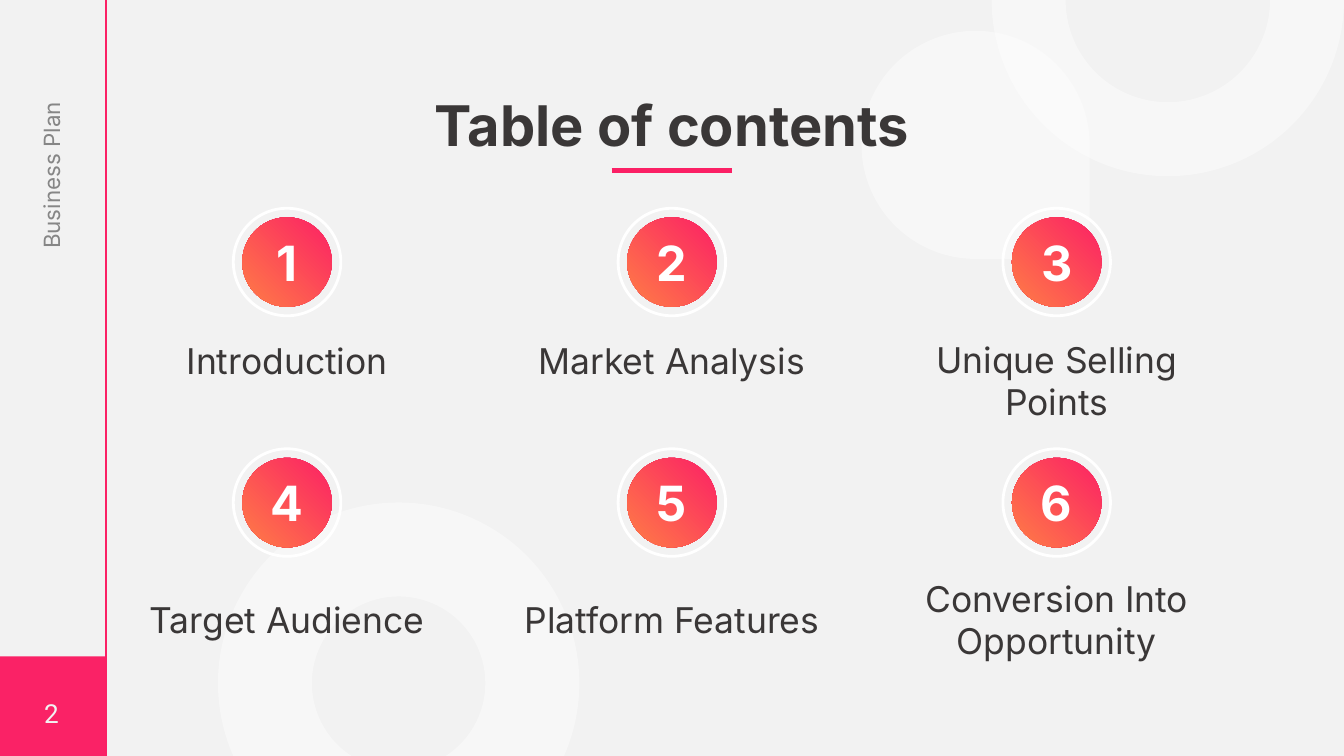
from dataclasses import dataclass

from lxml.etree import SubElement
from pptx import Presentation
from pptx.dml.color import RGBColor
from pptx.enum.shapes import MSO_CONNECTOR as Connector, MSO_SHAPE as Shape
from pptx.enum.text import MSO_ANCHOR as Anchor, PP_ALIGN as Align
from pptx.oxml.ns import qn
from pptx.util import Pt


@dataclass(frozen=True)
class Theme:
    paper: str = "F2F2F2"
    ink: str = "3A3737"
    muted: str = "868686"
    white: str = "FFFFFF"
    pink: str = "FB2065"
    page_pink: str = "FA2266"
    orange: str = "FF7D46"
    veil_opacity: int = 44
    font: str = "Inter"
    page_font: str = "Roboto"
    title_size: int = 30
    number_size: int = 26
    topic_size: int = 19
    page_size: int = 14
    side_size: int = 12


THEME = Theme()
WIDTH, HEIGHT = 720, 405
SIDEBAR_WIDTH = 56.7
TOPICS = [
    ["Introduction", "Market Analysis", "Unique Selling Points"],
    ["Target Audience", "Platform Features", "Conversion Into Opportunity"],
]


def rgb(value):
    return RGBColor.from_string(value)


def points(*lengths):
    return [Pt(length) for length in lengths]


def write(frame, text, *, size, color=THEME.ink, font=THEME.font, bold=False,
          align=Align.CENTER, anchor=Anchor.MIDDLE, insets=(7.2, 7.2, 7.2, 7.2),
          space_after=0):
    """Fill a text frame with one formatted paragraph."""
    frame.word_wrap = True
    frame.vertical_anchor = anchor
    (frame.margin_left, frame.margin_top,
     frame.margin_right, frame.margin_bottom) = points(*insets)
    paragraph = frame.paragraphs[0]
    paragraph.alignment = align
    paragraph.space_after = Pt(space_after)
    run = paragraph.add_run()
    run.text = text
    run.font.name = font
    run.font.size = Pt(size)
    run.font.bold = bold
    run.font.color.rgb = rgb(color)


def add_text(slide, box, text, **style):
    textbox = slide.shapes.add_textbox(*points(*box))
    write(textbox.text_frame, text, **style)
    return textbox


def add_rule(slide, start, end, width):
    rule = slide.shapes.add_connector(Connector.STRAIGHT, *points(*start, *end))
    rule.line.color.rgb = rgb(THEME.pink)
    rule.line.width = Pt(width)
    SubElement(rule._element.spPr, qn("a:effectLst"))


def add_veil(slide, kind, left, top, size, rotation=0):
    """Add a translucent white backdrop shape."""
    shape = slide.shapes.add_shape(kind, *points(left, top, size, size))
    shape.rotation = rotation
    shape.shadow.inherit = False
    shape.line.fill.background()
    shape.fill.solid()
    shape.fill.fore_color.rgb = rgb(THEME.white)
    color = shape._element.spPr.find(qn("a:solidFill"))[0]
    SubElement(color, qn("a:alpha"), val=str(THEME.veil_opacity * 1000))
    return shape


def add_backdrop(slide, left, top, width, height):
    ring = add_veil(slide, Shape.DONUT, left + 116.8, top + height - 135.8, 193.6)
    ring.adjustments[0] = 0.26
    add_veil(slide, Shape.TEAR, left + width - 258.5, top + 16.5, 122.2, rotation=90)
    half_size = 188.8
    half_ring = add_veil(slide, Shape.BLOCK_ARC, left + width - half_size,
                         top - half_size / 2, half_size, rotation=180)
    half_ring.adjustments[2] = 0.21


def add_sidebar(slide, left, top, width, height):
    page = slide.shapes.add_shape(
        Shape.RECTANGLE, *points(left - 1.5, top + height - 53.4, width + 1.5, 60.5))
    page.shadow.inherit = False
    page.line.fill.background()
    page.fill.solid()
    page.fill.fore_color.rgb = rgb(THEME.page_pink)
    write(page.text_frame, "2", size=THEME.page_size, font=THEME.page_font,
          color=THEME.paper, insets=(7.2, 3.6, 7.2, 3.6))
    add_rule(slide, (left + width, top), (left + width, top + height), 1.25)
    caption = add_text(slide, (left - 25.2, top + 81.8, 105.8, 28.8), "Business Plan",
                       size=THEME.side_size, color=THEME.muted, align=Align.LEFT,
                       anchor=Anchor.TOP, insets=(15.8, 7.2, 7.2, 7.2))
    caption.rotation = 270


def add_heading(slide, left, top, width, height):
    add_text(slide, (left, top, width, height), "Table of contents",
             size=THEME.title_size, bold=True, anchor=Anchor.BOTTOM,
             insets=(7.2, 3.6, 7.2, 3.6))
    middle, rule_y = left + width / 2, top + height + 3.3
    add_rule(slide, (middle - 32.4, rule_y), (middle + 32.4, rule_y), 3)


def add_badge(slide, left, top, size, number):
    group = slide.shapes.add_group_shape()
    gap = 4.8
    disc = group.shapes.add_shape(
        Shape.OVAL, *points(left + gap, top + gap, size - 2 * gap, size - 2 * gap))
    disc.shadow.inherit = False
    disc.line.fill.background()
    disc.fill.gradient()
    disc.fill.gradient_angle = 225
    for stop, color in zip(disc.fill.gradient_stops, (THEME.pink, THEME.orange)):
        stop.color.rgb = rgb(color)

    ring = group.shapes.add_shape(Shape.OVAL, *points(left, top, size, size))
    ring.shadow.inherit = False
    ring.fill.background()
    ring.line.color.rgb = rgb(THEME.white)
    ring.line.width = Pt(1.5)
    add_text(slide, (left, top + 10.2, size, 36.8), str(number),
             size=THEME.number_size, color=THEME.white, bold=True)


def add_topics(slide, left, top, width, height):
    """Lay out numbered topics in a grid; the second row's labels sit lower."""
    badge_size, column_width, label_height = 57.6, 185.8, 25.9
    columns = len(TOPICS[0])
    column_pitch = (width - column_width) / (columns - 1)
    row_pitch = height / len(TOPICS)
    label_offsets = (68.4, 78.4)
    for row, names in enumerate(TOPICS):
        for column, name in enumerate(names):
            x, y = left + column * column_pitch, top + row * row_pitch
            add_badge(slide, x + (column_width - badge_size) / 2, y, badge_size,
                      row * columns + column + 1)
            tall = name == "Unique Selling Points"
            add_text(slide, (x, y + label_offsets[row], column_width,
                             47.6 if tall else label_height),
                     name, size=THEME.topic_size, space_after=12)


def main():
    deck = Presentation()
    deck.slide_width, deck.slide_height = points(WIDTH, HEIGHT)
    slide = deck.slides.add_slide(deck.slide_layouts[6])
    slide.background.fill.solid()
    slide.background.fill.fore_color.rgb = rgb(THEME.paper)

    add_backdrop(slide, 0, 0, WIDTH, HEIGHT)
    add_sidebar(slide, 0, 0, SIDEBAR_WIDTH, HEIGHT)
    add_heading(slide, 55, 44, 610, 44)
    add_topics(slide, 60.9, 111.6, 598.1, 257.7)
    deck.save("out.pptx")


if __name__ == "__main__":
    main()
